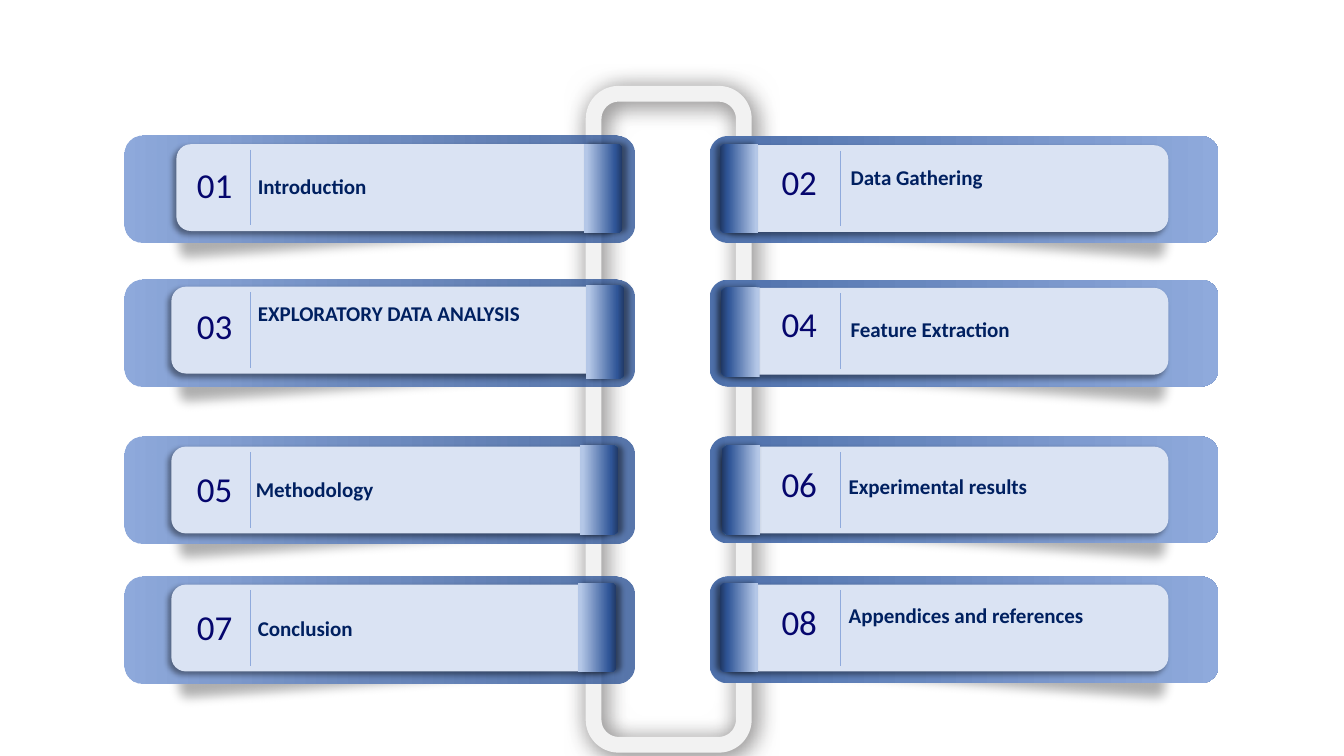
from dataclasses import dataclass
from lxml.etree import SubElement
from pptx import Presentation
from pptx.dml.color import RGBColor
from pptx.enum.shapes import MSO_CONNECTOR as Link, MSO_SHAPE as Form
from pptx.enum.text import PP_ALIGN as Align
from pptx.oxml import parse_xml
from pptx.oxml.ns import nsdecls, qn
from pptx.util import Pt

COLORS = {
    "ring": "F2F2F2", "ring_shadow": "3B3838", "shadow": "000000",
    "bar_light": "8FAADC", "bar_left": "2F5597", "bar_right": "4E70AA",
    "card": "DAE3F3", "tab_light": "B4C7E7", "tab_mid": "2F5597",
    "tab_dark": "203864", "number": "05066D", "label": "002060",
}
FONT = "Calibri"
BAR_WIDTH, BAR_HEIGHT = 363.6, 76.3
ROW_TOPS = (97.2, 199.8, 311.8, 411.8)
COLUMN_LEFTS = (89.3, 506.9)


@dataclass
class Entry:
    number: str
    label: str
    card: tuple
    tab: tuple
    number_top: float
    label_at: tuple
    label_height: float = 25
    tab_length: float = 64


ENTRIES = (
    Entry("01", "Introduction", (36.7, 5.8), (341.6, 37.4), 15.8, (87.8, 23)),
    Entry("02", "Data Gathering", (10.1, 6.5), (21.2, 37.4), 13.7, (93.6, 16.6)),
    Entry("03", "EXPLORATORY DATA ANALYSIS", (33.1, 5), (343.1, 37.4), 14.4,
          (87.8, 11.5), 44, 67),
    Entry("04", "Feature Extraction", (10.1, 5.8), (22, 37.4), 13, (93.6, 23)),
    Entry("05", "Methodology", (33.1, 7.2), (338.8, 38.2), 18.7, (86.4, 25.2)),
    Entry("06", "Experimental results", (10.1, 7.2), (22.7, 38.2), 15.1, (92.2, 23)),
    Entry("07", "Conclusion", (33.1, 5.8), (337.3, 36.4), 17.3, (87.8, 24.5)),
    Entry("08", "Appendices and references", (10.1, 5.8), (21.2, 36.4), 13.7,
          (92.2, 15.1), 44),
)


def rgb(name):
    return RGBColor.from_string(COLORS[name])


def add_form(page, form, left, top, width, height, fill=None):
    shape = page.shapes.add_shape(form, Pt(left), Pt(top), Pt(width), Pt(height))
    shape.shadow.inherit = False
    shape.line.fill.background()
    if fill:
        shape.fill.solid()
        shape.fill.fore_color.rgb = rgb(fill)
    else:
        shape.fill.background()
    return shape


def set_alpha(color, percent):
    SubElement(color, qn("a:alpha")).set("val", str(percent * 1000))


def set_gradient(shape, stops, angle):
    marks = "".join(
        f'<a:gs pos="{place * 1000}"><a:srgbClr val="{COLORS[name]}">'
        f'<a:alpha val="{alpha * 1000}"/></a:srgbClr></a:gs>'
        for place, name, alpha in stops)
    gradient = parse_xml(
        f'<a:gradFill {nsdecls("a")} rotWithShape="1"><a:gsLst>{marks}</a:gsLst>'
        f'<a:lin ang="{angle * 60000}" scaled="0"/></a:gradFill>')
    properties = shape.element.spPr
    properties.replace(properties.find(qn("a:noFill")), gradient)


def add_shadow(shape, name, alpha, blur, distance, direction):
    effects = shape.element.spPr.find(qn("a:effectLst"))
    shadow = SubElement(effects, qn("a:outerShdw"))
    shadow.set("blurRad", str(Pt(blur)))
    shadow.set("dist", str(Pt(distance)))
    shadow.set("dir", str(direction * 60000))
    shadow.set("algn", "ctr")
    shadow.set("rotWithShape", "0")
    color = SubElement(shadow, qn("a:srgbClr"))
    color.set("val", COLORS[name])
    set_alpha(color, alpha)


def add_text(page, text, left, top, width, height, size, color, bold=False, align=None):
    box = page.shapes.add_textbox(Pt(left), Pt(top), Pt(width), Pt(height))
    box.text_frame.word_wrap = True
    para = box.text_frame.paragraphs[0]
    para.text = text
    para.alignment = align
    span = para.runs[0]
    span.font.name = FONT
    span.font.size = Pt(size)
    span.font.bold = bold
    span.font.color.rgb = rgb(color)


def draw_soft_base(page, left, top, on_right):
    width, height, inset = 292.3, 54.7, 24
    offset = BAR_WIDTH - width - inset if on_right else inset
    base = add_form(page, Form.RECTANGLE, left + offset, top + 36.7, width, height, "shadow")
    base.rotation = 4.1 if on_right else 355.9
    set_alpha(base.element.spPr.find(qn("a:solidFill"))[0], 32)
    effects = base.element.spPr.find(qn("a:effectLst"))
    SubElement(effects, qn("a:softEdge")).set("rad", str(Pt(10)))


def draw_ring(page, left, top, width, height):
    ring = add_form(page, Form.ROUNDED_RECTANGLE, left, top, width, height)
    ring.line.color.rgb = rgb("ring")
    ring.line.width = Pt(11.25)
    add_shadow(ring, "ring_shadow", 79, 18, 3, 45)


def draw_bar(page, left, top, on_right):
    bar = add_form(page, Form.ROUNDED_RECTANGLE, left, top, BAR_WIDTH, BAR_HEIGHT)
    if on_right:
        stops = ((0, "bar_right", 100), (100, "bar_light", 100))
    else:
        stops = ((0, "bar_light", 100), (100, "bar_left", 80))
    set_gradient(bar, stops, 0)


def draw_tab(page, center_x, center_y, length, on_right):
    depth = 27.4
    tab = add_form(page, Form.ROUND_2_SAME_RECTANGLE, center_x - length / 2,
                   center_y - depth / 2, length, depth)
    tab.rotation = 270 if on_right else 90
    set_gradient(tab, ((7, "tab_light", 100), (81, "tab_mid", 100),
                       (100, "tab_dark", 100)), 270)
    add_shadow(tab, "shadow", 40, 4, 3, 180 if on_right else 0)


def draw_divider(page, x, top):
    divider = page.shapes.add_connector(Link.STRAIGHT, Pt(x), Pt(top), Pt(x), Pt(top + 54))
    divider.line.color.rgb = rgb("bar_light")
    divider.line.width = Pt(0.5)
    SubElement(divider.element.spPr, qn("a:effectLst"))


def draw_entry(page, entry, left, top, on_right):
    draw_bar(page, left, top, on_right)
    card_left, card_top = left + entry.card[0], top + entry.card[1]
    card = add_form(page, Form.ROUNDED_RECTANGLE, card_left, card_top, 317.5, 62, "card")
    add_shadow(card, "shadow", 40, 4, 3, 135)
    draw_tab(page, left + entry.tab[0], top + entry.tab[1], entry.tab_length, on_right)
    draw_divider(page, left + (93.6 if on_right else 89.3), card_top + 4)
    add_text(page, entry.number, left + 35, top + entry.number_top, 58, 37.4, 25,
             "number", align=Align.CENTER)
    add_text(page, entry.label, left + entry.label_at[0], top + entry.label_at[1],
             230, entry.label_height, 15, "label", bold=True)


def draw_agenda(page):
    places = [(left, top, left == COLUMN_LEFTS[1])
              for top in ROW_TOPS for left in COLUMN_LEFTS]
    for place in places:
        draw_soft_base(page, *place)
    draw_ring(page, 424, 67, 107.3, 465)
    for entry, place in zip(ENTRIES, places):
        draw_entry(page, entry, *place)


def main():
    deck = Presentation()
    deck.slide_width, deck.slide_height = Pt(960), Pt(540)
    draw_agenda(deck.slides.add_slide(deck.slide_layouts[6]))
    deck.save("out.pptx")


if __name__ == "__main__":
    main()
